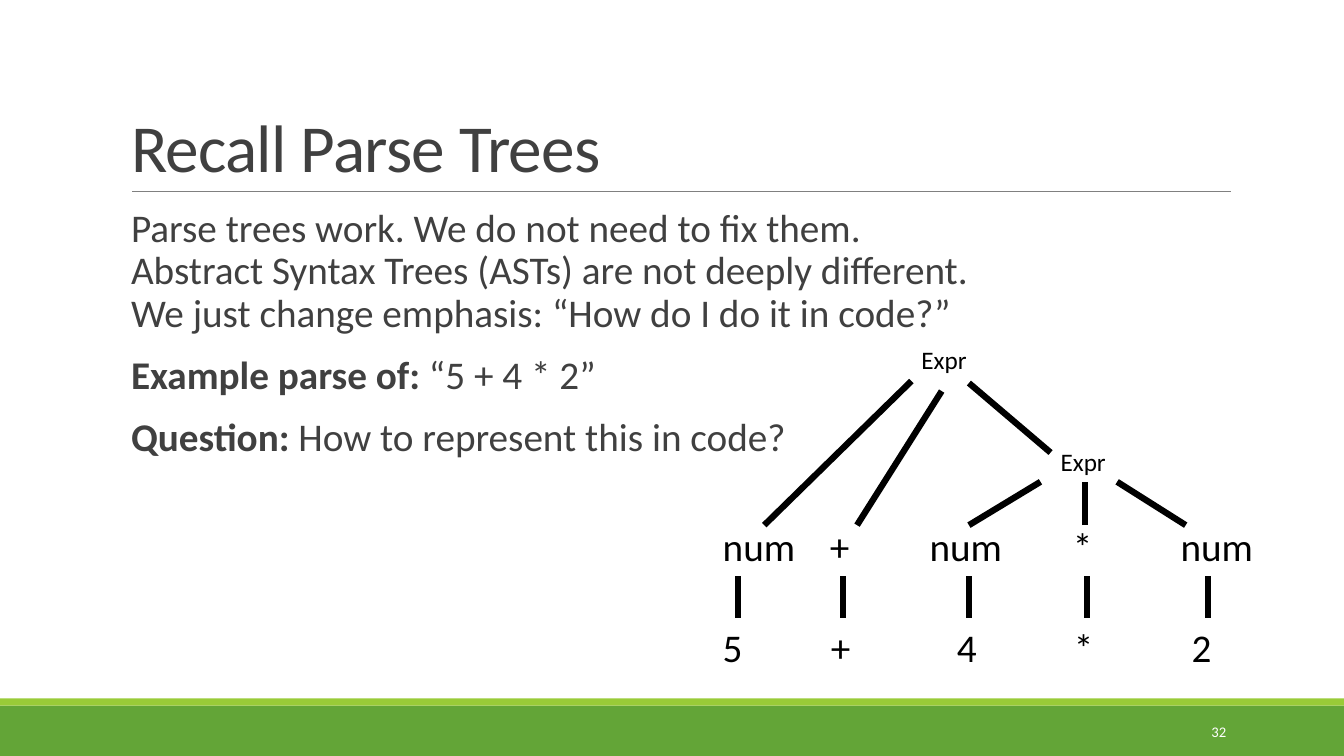
from dataclasses import dataclass

from lxml.etree import SubElement
from pptx import Presentation
from pptx.dml.color import RGBColor
from pptx.enum.shapes import MSO_CONNECTOR, MSO_SHAPE
from pptx.enum.text import MSO_ANCHOR, MSO_AUTO_SIZE, PP_ALIGN
from pptx.oxml.ns import qn
from pptx.util import Emu, Pt

PX = 9144  # EMU in one px, 100 px to the inch


@dataclass(frozen=True)
class Theme:
    font: str = "Calibri"
    ink: str = "404040"
    tree: str = "000000"
    rule: str = "808080"
    band: str = "63A537"
    accent: str = "99CB38"
    paper: str = "FFFFFF"
    title_pt: float = 48
    body_pt: float = 28
    node_pt: float = 18
    number_pt: float = 10.5
    branch_pt: float = 4.5
    rule_pt: float = 0.5


@dataclass(frozen=True)
class Box:
    x: int
    y: int
    w: int
    h: int


@dataclass(frozen=True)
class Line:
    x1: int
    y1: int
    x2: int
    y2: int


@dataclass(frozen=True)
class Label:
    text: str
    box: Box
    size: float
    tabs: tuple[int, ...] = ()
    wrap: bool = True


@dataclass(frozen=True)
class Point:
    lead: str
    text: str


T = Theme()
WIDTH, HEIGHT = 1333, 750

BANDS = [(Box(0, 700, WIDTH, 50), T.band), (Box(0, 693, WIDTH, 7), T.accent)]
POINTS = [
    Point("", "Parse trees work. We do not need to fix them.\v"
              "Abstract Syntax Trees (ASTs) are not deeply different.\v"
              "We just change emphasis: “How do I do it in code?”"),
    Point("Example parse of:", " “5 + 4 * 2”"),
    Point("Question: ", "How to represent this in code?"),
]
LABELS = [
    Label("5\t+\t4\t*\t2", Box(707, 613, 597, 57), T.body_pt, (117, 242, 358, 475)),
    Label("num\t+\tnum\t*\tnum", Box(707, 513, 597, 57), T.body_pt, (116, 241, 357, 490)),
    Label("Expr", Box(1042, 438, 65, 40), T.node_pt, wrap=False),
    Label("Expr", Box(904, 337, 65, 40), T.node_pt, wrap=False),
]
LEAF_BRANCHES = [Line(x, 613, x, 571) for x in (732, 836, 961, 1078, 1198)]
EXPR_BRANCHES = [
    Line(1176, 521, 1108, 478), Line(1076, 521, 1076, 478), Line(961, 521, 1032, 478),
    Line(758, 521, 904, 378), Line(850, 521, 934, 388), Line(1042, 449, 961, 380),
]


def place(sp, box: Box) -> None:
    sp.left, sp.top, sp.width, sp.height = (Emu(v * PX) for v in (box.x, box.y, box.w, box.h))


def style(p, size: float, color: str) -> None:
    p.font.name, p.font.size = T.font, Pt(size)
    p.font.color.rgb = RGBColor.from_string(color)


def add_text_frame(s, box: Box, wrap: bool = True):
    sp = s.shapes.add_textbox(0, 0, 0, 0)
    place(sp, box)
    sp.text_frame.word_wrap = wrap
    return sp.text_frame


def add_band(s, box: Box, color: str) -> None:
    sp = s.shapes.add_shape(MSO_SHAPE.RECTANGLE, 0, 0, 0, 0)
    place(sp, box)
    sp.shadow.inherit = False
    sp.fill.solid()
    sp.fill.fore_color.rgb = RGBColor.from_string(color)
    sp.line.fill.background()


def add_line(s, line: Line, color: str, width: float) -> None:
    ends = (Emu(v * PX) for v in (line.x1, line.y1, line.x2, line.y2))
    sp = s.shapes.add_connector(MSO_CONNECTOR.STRAIGHT, *ends)
    sp.line.color.rgb = RGBColor.from_string(color)
    sp.line.width = Pt(width)
    SubElement(sp._element.spPr, qn("a:effectLst"))


def add_title(s, text: str) -> None:
    sp = s.shapes.title
    place(sp, Box(120, 31, 1100, 159))
    tf = sp.text_frame
    tf.word_wrap, tf.auto_size = True, MSO_AUTO_SIZE.NONE
    tf.vertical_anchor = MSO_ANCHOR.BOTTOM
    p = tf.paragraphs[0]
    p.alignment, p.line_spacing = PP_ALIGN.LEFT, 0.85
    style(p, T.title_pt, T.ink)
    r = p.add_run()
    r.text = text
    r._r.get_or_add_rPr().set("spc", "-50")


def add_body(s, points: list[Point]) -> None:
    tf = add_text_frame(s, Box(120, 202, 1100, 440))
    tf.margin_left = tf.margin_right = 0
    for i, point in enumerate(points):
        p = tf.add_paragraph() if i else tf.paragraphs[0]
        p.text = point.text
        p.line_spacing, p.space_before, p.space_after = 0.9, Pt(12), Pt(2)
        p._p.get_or_add_pPr().set("marL", str(10 * PX))
        style(p, T.body_pt, T.ink)
        if point.lead:
            r = p.add_run()
            r.text, r.font.bold = point.lead, True
            p.runs[0]._r.addprevious(r._r)


def add_label(s, label: Label) -> None:
    p = add_text_frame(s, label.box, label.wrap).paragraphs[0]
    p.text = label.text
    if label.tabs:
        stops = SubElement(p._p.get_or_add_pPr(), qn("a:tabLst"))
        for x in label.tabs:
            SubElement(stops, qn("a:tab"), pos=str(x * PX), algn="ctr")
    style(p, label.size, T.tree)


def add_slide_number(s, number: str) -> None:
    tf = add_text_frame(s, Box(1083, 706, 143, 40))
    tf.vertical_anchor = MSO_ANCHOR.MIDDLE
    p = tf.paragraphs[0]
    p.text, p.alignment = number, PP_ALIGN.RIGHT
    style(p, T.number_pt, T.paper)


def main() -> None:
    prs = Presentation()
    prs.slide_width, prs.slide_height = Emu(WIDTH * PX), Emu(HEIGHT * PX)
    s = prs.slides.add_slide(prs.slide_layouts[5])

    # Frame: footer bands and the rule under the title
    for box, color in BANDS:
        add_band(s, box, color)
    add_line(s, Line(131, 190, 1221, 190), T.rule, T.rule_pt)

    # Text
    add_title(s, "Recall Parse Trees")
    add_body(s, POINTS)
    add_slide_number(s, "32")

    # Parse tree
    for label in LABELS:
        add_label(s, label)
    for branch in LEAF_BRANCHES + EXPR_BRANCHES:
        add_line(s, branch, T.tree, T.branch_pt)

    prs.save("out.pptx")


if __name__ == "__main__":
    main()
